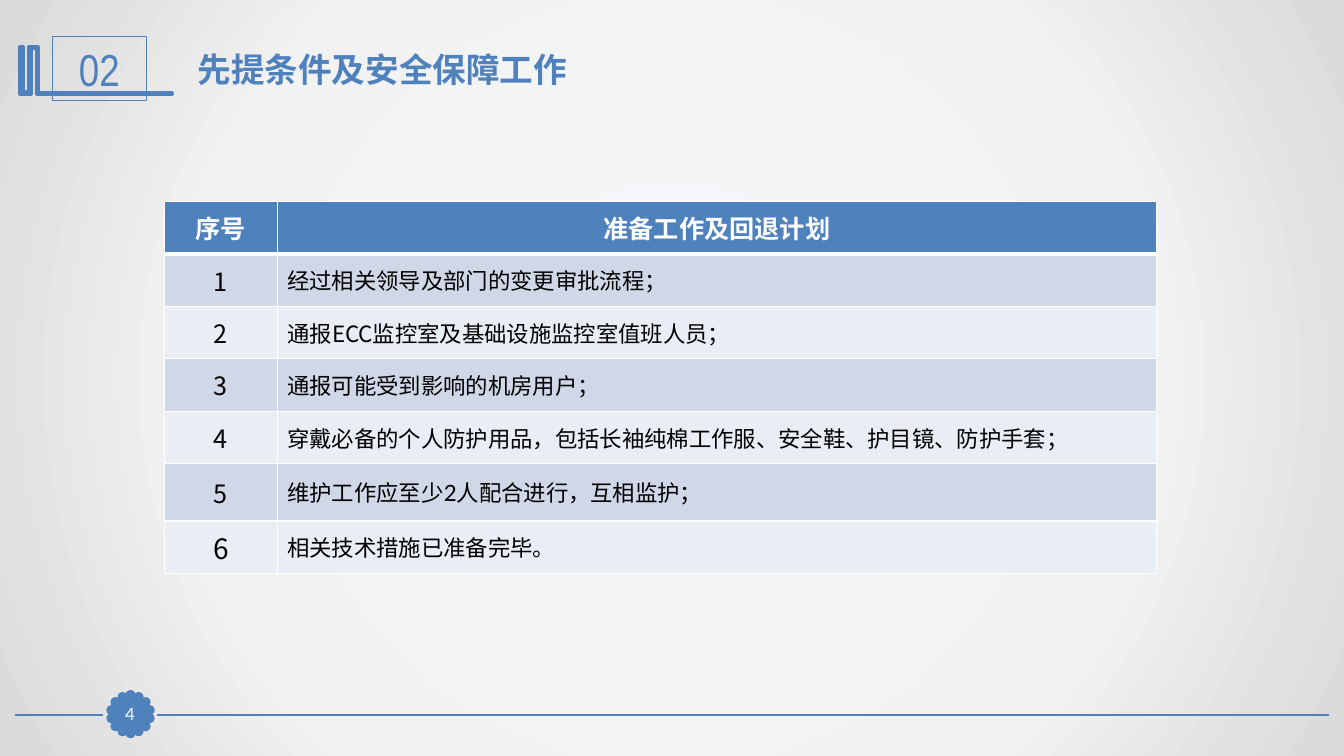
from dataclasses import dataclass
from math import cos, pi, sin

from pptx import Presentation
from pptx.dml.color import RGBColor
from pptx.enum.shapes import MSO_CONNECTOR, MSO_SHAPE
from pptx.enum.text import MSO_ANCHOR, PP_ALIGN
from pptx.oxml import parse_xml
from pptx.oxml.ns import nsdecls, qn
from pptx.util import Pt

OVAL, RECT = MSO_SHAPE.OVAL, MSO_SHAPE.RECTANGLE
LINE = MSO_CONNECTOR.STRAIGHT
MID, TOP = MSO_ANCHOR.MIDDLE, MSO_ANCHOR.TOP
LEFT, MIDDLE = PP_ALIGN.LEFT, PP_ALIGN.CENTER
SCALE = 9144


@dataclass(frozen=True)
class Theme:
    blue: str = "4F81BD"
    white: str = "FFFFFF"
    black: str = "000000"
    bands: tuple = ("D0D8E8", "E9EDF4")
    glow: tuple = ((0, "F6F9FC"), (63, "F2F2F2"), (100, "D9D9D9"))
    font: str = "Lato"
    cjk: str = "Noto Sans CJK SC"
    thin: str = "Arial Narrow"
    mark: int = 32
    title: int = 24
    last: int = 20
    head: int = 18
    body: int = 16
    page: int = 12


def px(n):
    return int(n * SCALE)


class Deck:
    def __init__(self, theme, wide, high):
        self.theme = theme
        self.file = Presentation()
        self.file.slide_width, self.file.slide_height = px(wide), px(high)
        self.slide = self.file.slides.add_slide(self.file.slide_layouts[6])
        self.shapes = self.slide.shapes

    def back(self):
        stops = "".join(
            f'<a:gs pos="{pos * 1000}"><a:srgbClr val="{tone}"/></a:gs>'
            for pos, tone in self.theme.glow)
        self.slide.element.cSld.insert(0, parse_xml(
            f'<p:bg {nsdecls("p", "a")}><p:bgPr><a:gradFill rotWithShape="1">'
            f'<a:gsLst>{stops}</a:gsLst><a:path path="circle">'
            '<a:fillToRect l="50000" t="50000" r="50000" b="50000"/></a:path>'
            '</a:gradFill><a:effectLst/></p:bgPr></p:bg>'))

    def paint(self, shape, fill, width):
        shape.shadow.inherit = False
        if fill:
            shape.fill.solid()
            shape.fill.fore_color.rgb = RGBColor.from_string(fill)
        else:
            shape.fill.background()
        shape.line.color.rgb = RGBColor.from_string(self.theme.blue)
        shape.line.width = Pt(width)
        return shape

    def shape(self, kind, box, fill=None, width=0.75):
        return self.paint(
            self.shapes.add_shape(kind, *map(px, box)), fill, width)

    def outline(self, dots, width):
        pen = self.shapes.build_freeform(*dots[0], scale=SCALE)
        pen.add_line_segments(dots[1:], close=True)
        return self.paint(pen.convert_to_shape(), self.theme.blue, width)

    def rule(self, start, end, y):
        line = self.shapes.add_connector(LINE, px(start), px(y), px(end), px(y))
        line.line.color.rgb = RGBColor.from_string(self.theme.blue)
        line.line.width = Pt(1.25)
        line.element.spPr.append(parse_xml(f'<a:effectLst {nsdecls("a")}/>'))

    def words(self, frame, runs, size, tone, align=LEFT, bold=False):
        para = frame.paragraphs[0]
        para.alignment = align
        for text, face in runs:
            run = para.add_run()
            run.text = text
            font = run.font
            font.name, font.size, font.bold = face, Pt(size), bold
            font.color.rgb = RGBColor.from_string(tone)
            props = run._r.get_or_add_rPr()
            east = props.makeelement(qn("a:ea"), {"typeface": self.theme.cjk})
            props.find(qn("a:latin")).addnext(east)

    def label(self, shape, text, face, size, tone, pad=None):
        frame = shape.text_frame
        frame.word_wrap, frame.vertical_anchor = True, MID
        if pad is not None:
            frame.margin_left = frame.margin_right = px(pad)
            frame.margin_top = frame.margin_bottom = px(pad)
        self.words(frame, [(text, face)], size, tone, MIDDLE)

    def title(self, box, text):
        frame = self.shapes.add_textbox(*map(px, box)).text_frame
        frame.word_wrap, frame.vertical_anchor = True, TOP
        self.words(frame, [(text, self.theme.font)], self.theme.title,
                   self.theme.blue, bold=True)

    def cell(self, cell, fill, base):
        cell.vertical_anchor = MID
        cell.fill.solid()
        cell.fill.fore_color.rgb = RGBColor.from_string(fill)
        props = cell._tc.get_or_add_tcPr()
        for spot, (side, width) in enumerate(
                (("L", 1), ("R", 1), ("T", 1), ("B", base))):
            props.insert(spot, parse_xml(
                f'<a:ln{side} {nsdecls("a")} w="{int(Pt(width))}"><a:solidFill>'
                f'<a:srgbClr val="{self.theme.white}"/></a:solidFill>'
                f'</a:ln{side}>'))

    def table(self, box, cols, highs, head, rows):
        look = self.theme
        grid = self.shapes.add_table(
            len(highs), len(cols), *map(px, box)).table
        for col, wide in zip(grid.columns, cols):
            col.width = px(wide)
        for row, high in zip(grid.rows, highs):
            row.height = px(high)
        for c, text in enumerate(head):
            cell = grid.cell(0, c)
            self.cell(cell, look.blue, 3)
            self.words(cell.text_frame, [(text, look.font)], look.head,
                       look.white, MIDDLE, True)
        for r, runs in enumerate(rows, 1):
            mark, text = grid.cell(r, 0), grid.cell(r, 1)
            for cell in (mark, text):
                self.cell(cell, look.bands[(r - 1) % 2], 1)
            size = look.last if r == len(rows) else look.head
            self.words(mark.text_frame, [(str(r), look.cjk)], size,
                       look.black, MIDDLE)
            self.words(text.text_frame, runs, look.body, look.black)

    def badge(self, x, y, reach, dot, count, text):
        look = self.theme
        for n in range(count):
            turn = 2 * pi * n / count
            left = round(x + reach * sin(turn) - dot / 2)
            top = round(y - reach * cos(turn) - dot / 2)
            self.shape(OVAL, (left, top, dot, dot), look.blue, 2)
        core = self.shape(RECT, (113, 693, 32, 31), look.blue)
        self.label(core, text, look.font, look.page, look.white, 0)


def main():
    look = Theme()
    deck = Deck(look, 1333, 750)
    deck.back()
    deck.rule(156, 1318, 709)
    deck.rule(15, 102, 709)
    deck.badge(129.5, 708.5, 19, 7, 14, "4")
    deck.outline([
        (37, 46), (38, 46), (38, 92), (171, 92), (171, 94), (36, 94),
        (36, 48), (31, 48), (31, 94), (19, 94), (19, 46), (23, 46),
        (23, 91), (28, 91), (28, 46)], 2)
    mark = deck.shape(RECT, (52, 36, 93, 64))
    deck.label(mark, "02", look.thin, look.mark, look.blue)
    deck.title((186, 44, 969, 50), "先提条件及安全保障工作")
    rows = [
        [("经过相关领导及部门的变更审批流程；", look.font)],
        [("通报", look.font), ("ECC", look.cjk),
         ("监控室及基础设施监控室值班人员；", look.font)],
        [("通报可能受到影响的机房用户；", look.font)],
        [("穿戴必备的个人防护用品，包括长袖纯棉工作服、安全鞋、护目镜、防护手套；",
          look.font)],
        [("维护工作应至少2人配合进行，互相监护；", look.font)],
        [("相关技术措施已准备完毕。", look.font)],
    ]
    deck.table((163, 200, 984, 372), (112, 872), [52] * 5 + [57, 52],
               ("序号", "准备工作及回退计划"), rows)
    deck.file.save("out.pptx")


if __name__ == "__main__":
    main()
